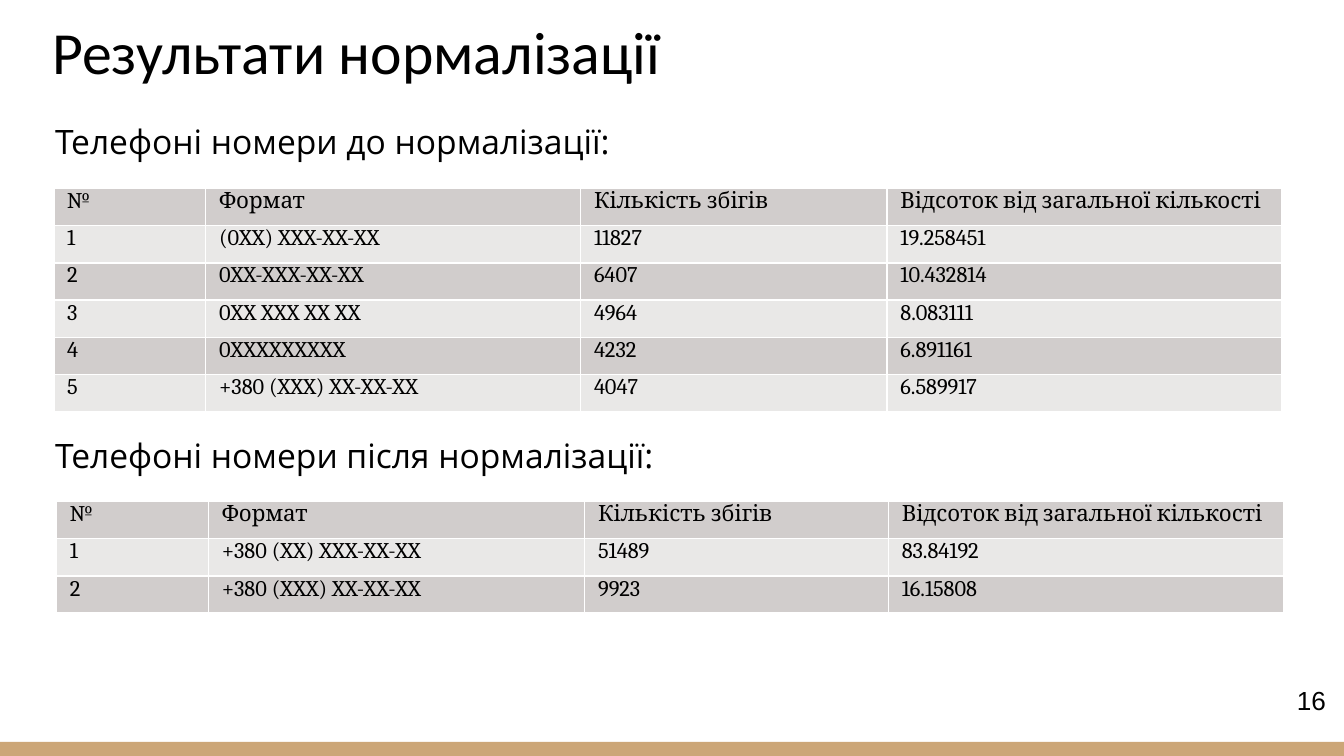
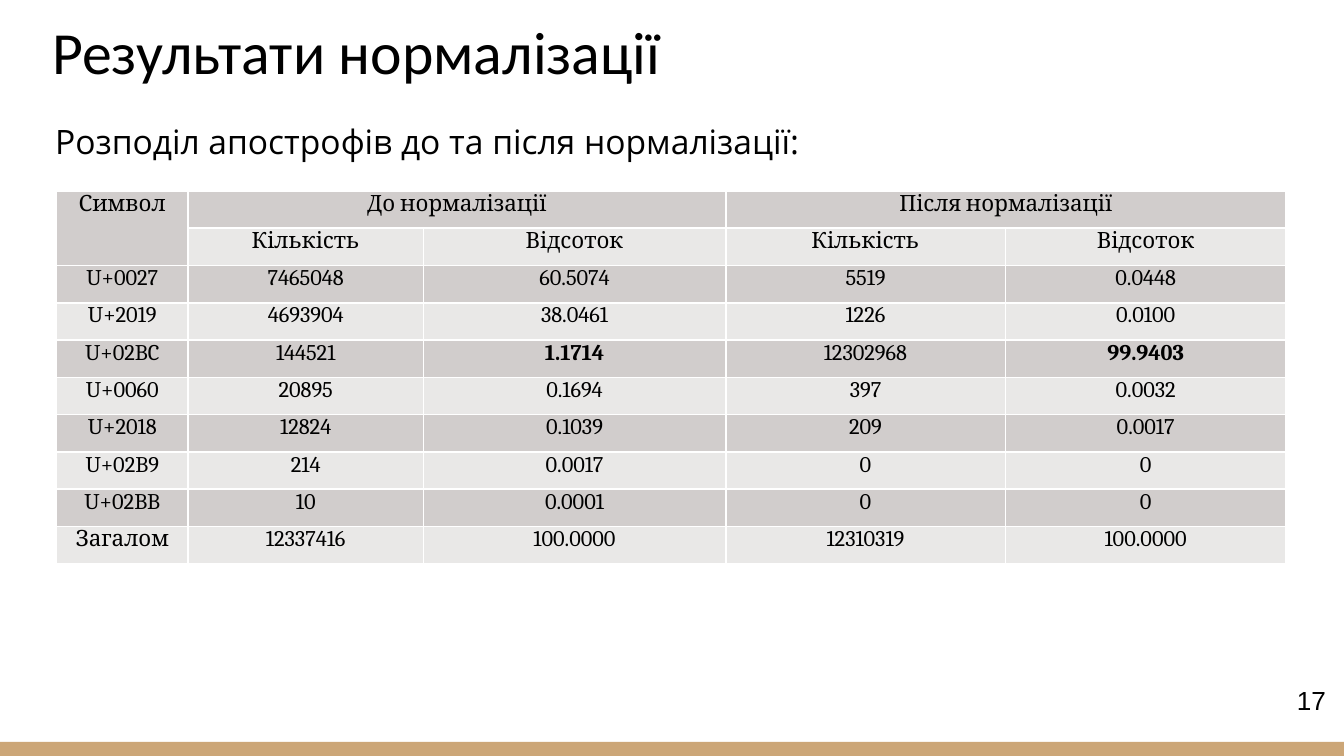
from lxml import etree
from pptx import Presentation
from pptx.dml.color import RGBColor
from pptx.enum.shapes import MSO_SHAPE
from pptx.enum.text import MSO_ANCHOR, MSO_AUTO_SIZE, PP_ALIGN
from pptx.oxml.ns import qn
from pptx.util import Inches, Pt

RECTANGLE = MSO_SHAPE.RECTANGLE
TOP, BOTTOM = MSO_ANCHOR.TOP, MSO_ANCHOR.BOTTOM
GROW, FIXED = MSO_AUTO_SIZE.SHAPE_TO_FIT_TEXT, MSO_AUTO_SIZE.NONE
LEFT, CENTER = PP_ALIGN.LEFT, PP_ALIGN.CENTER

BLACK, WHITE, SAND = "000000", "FFFFFF", "CCA677"
ROW_FILLS = ("D1CDCC", "E9E8E7")
PAGE_WIDTH = Inches(10)
PAGE_HEIGHT = PAGE_WIDTH * 9 // 16
ROW_HEIGHT = Inches(2.5 / 9)

TITLE = "Результати нормалізації"
PHONE_HEADER = ("№", "Формат", "Кількість збігів", "Відсоток від загальної кількості")
PHONES_BEFORE = (
    PHONE_HEADER,
    ("1", "(0XX) XXX-XX-XX", "11827", "19.258451"),
    ("2", "0XX-XXX-XX-XX", "6407", "10.432814"),
    ("3", "0XX XXX XX XX", "4964", "8.083111"),
    ("4", "0XXXXXXXXX", "4232", "6.891161"),
    ("5", "+380 (XXX) XX-XX-XX", "4047", "6.589917"),
)
PHONES_AFTER = (
    PHONE_HEADER,
    ("1", "+380 (XX) XXX-XX-XX", "51489", "83.84192"),
    ("2", "+380 (XXX) XX-XX-XX", "9923", "16.15808"),
)
APOSTROPHES = (
    ("Символ", "До нормалізації", "", "Після нормалізації", ""),
    ("", "Кількість", "Відсоток", "Кількість", "Відсоток"),
    ("U+0027", "7465048", "60.5074", "5519", "0.0448"),
    ("U+2019", "4693904", "38.0461", "1226", "0.0100"),
    ("U+02BC", "144521", "1.1714", "12302968", "99.9403"),
    ("U+0060", "20895", "0.1694", "397", "0.0032"),
    ("U+2018", "12824", "0.1039", "209", "0.0017"),
    ("U+02B9", "214", "0.0017", "0", "0"),
    ("U+02BB", "10", "0.0001", "0", "0"),
    ("Загалом", "12337416", "100.0000", "12310319", "100.0000"),
)


def color(value):
    return RGBColor.from_string(value)


class Builder:
    def __init__(self):
        self.deck = Presentation()
        self.deck.slide_width = PAGE_WIDTH
        self.deck.slide_height = PAGE_HEIGHT
        self.page = None

    def new_page(self, number):
        self.page = self.deck.slides.add_slide(self.deck.slide_layouts[6])
        self.band(0, 5.52, 10, 0.11)
        self.text(TITLE, 0.29, -0.17, 9.32, 0.91, "Calibri", 32,
                  inset=0.1, anchor=BOTTOM, wrap=True)
        self.text(number, 9.6, 5.04, 0.33, 0.32, "Arial", 14)

    def band(self, left, top, width, height):
        band = self.page.shapes.add_shape(
            RECTANGLE, Inches(left), Inches(top), Inches(width), Inches(height))
        band.shadow.inherit = False
        band.fill.solid()
        band.fill.fore_color.rgb = color(SAND)
        band.line.fill.background()

    def span(self, para, content, font, size, bold=False):
        span = para.add_run()
        span.text = content
        span.font.name = font
        span.font.size = Pt(size)
        span.font.bold = bold
        span.font.color.rgb = color(BLACK)

    def text(self, content, left, top, width, height, font, size,
             inset=0.05, anchor=TOP, wrap=False):
        box = self.page.shapes.add_textbox(
            Inches(left), Inches(top), Inches(width), Inches(height))
        frame = box.text_frame
        frame.word_wrap = wrap
        frame.auto_size = FIXED if wrap else GROW
        frame.vertical_anchor = anchor
        frame.margin_left = frame.margin_right = Inches(inset)
        frame.margin_top = frame.margin_bottom = Inches(inset)
        self.span(frame.paragraphs[0], content, font, size)

    def subtitle(self, content, top, width):
        self.text(content, 0.36, top, width, 0.43, "Open Sans", 18)

    def borders(self, cell):
        properties = cell._tc.get_or_add_tcPr()
        for side in ("a:lnL", "a:lnR", "a:lnT", "a:lnB"):
            line = etree.SubElement(properties, qn(side), w=str(Pt(1)))
            fill = etree.SubElement(line, qn("a:solidFill"))
            etree.SubElement(fill, qn("a:srgbClr"), val=WHITE)

    def cell(self, cell, content, fill, align, bold):
        self.borders(cell)
        cell.fill.solid()
        cell.fill.fore_color.rgb = color(fill)
        cell.margin_left = cell.margin_right = Inches(0.1)
        cell.margin_top = cell.margin_bottom = 0
        para = cell.text_frame.paragraphs[0]
        para.alignment = align
        para.space_before = Pt(12)
        if content:
            self.span(para, content, "Cambria", 12, bold)

    def table(self, rows, left, top, widths, align=LEFT, merges=(), bold_cells=()):
        table = self.page.shapes.add_table(
            len(rows), len(widths), Inches(left), Inches(top),
            Inches(sum(widths)), ROW_HEIGHT * len(rows)).table
        table.first_row = table.horz_banding = False
        for column, width in zip(table.columns, widths):
            column.width = Inches(width)
        for i, row in enumerate(rows):
            table.rows[i].height = ROW_HEIGHT
            for j, content in enumerate(row):
                self.cell(table.cell(i, j), content, ROW_FILLS[i % 2], align,
                          (i, j) in bold_cells)
        for first, last in merges:
            table.cell(*first).merge(table.cell(*last))


def main():
    builder = Builder()

    builder.new_page("16")
    builder.subtitle("Телефоні номери до нормалізації:", 0.85, 4.26)
    builder.table(PHONES_BEFORE, 0.4, 1.4, (1.13, 2.79, 2.28, 2.94))
    builder.subtitle("Телефоні номери після нормалізації:", 3.19, 4.58)
    builder.table(PHONES_AFTER, 0.42, 3.73, (1.13, 2.8, 2.26, 2.94))

    builder.new_page("17")
    builder.subtitle("Розподіл апострофів до та після нормалізації:", 0.85, 5.65)
    builder.table(
        APOSTROPHES, 0.42, 1.42, (0.98, 1.75, 2.25, 2.08, 2.09), CENTER,
        merges=(((0, 0), (1, 0)), ((0, 1), (0, 2)), ((0, 3), (0, 4))),
        bold_cells=((4, 2), (4, 4)))

    builder.deck.save("out.pptx")


if __name__ == "__main__":
    main()
